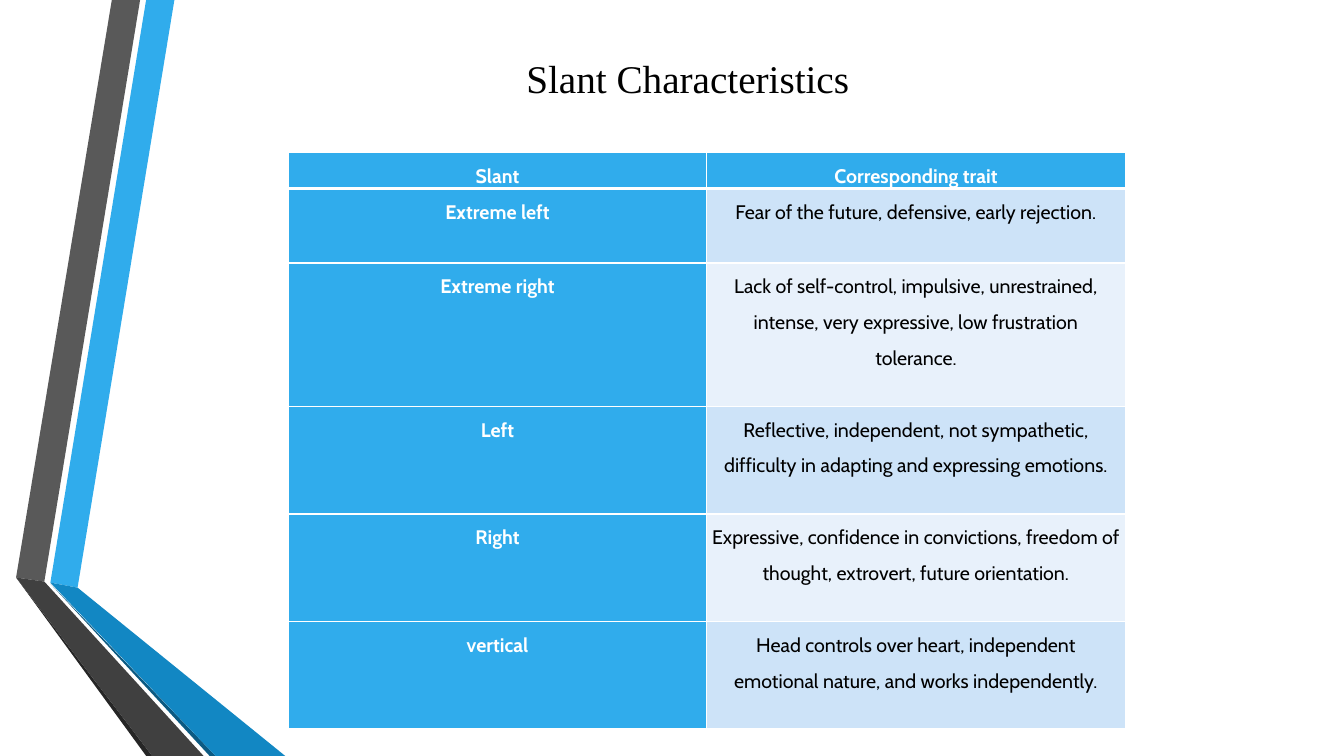
from dataclasses import dataclass

from lxml.etree import SubElement
from pptx import Presentation
from pptx.dml.color import RGBColor
from pptx.enum.text import MSO_ANCHOR, MSO_AUTO_SIZE, PP_ALIGN
from pptx.oxml.ns import qn
from pptx.util import Inches, Pt

# Content
TITLE = "Slant Characteristics"
HEADINGS = ("Slant", "Corresponding trait")
TRAITS = [
    ("Extreme left", "Fear of the future, defensive, early rejection."),
    ("Extreme right", "Lack of self-control, impulsive, unrestrained, intense, "
                      "very expressive, low frustration tolerance."),
    ("Left", "Reflective, independent, not sympathetic, difficulty in adapting "
             "and expressing emotions."),
    ("Right", "Expressive, confidence in convictions, freedom of thought, "
              "extrovert, future orientation."),
    ("vertical", "Head controls over heart, independent emotional nature, "
                 "and works independently."),
]


@dataclass(frozen=True)
class Theme:
    accent: str = "30ACEC"
    band_dark: str = "CDE3F8"
    band_light: str = "E8F1FB"
    white: str = "FFFFFF"
    black: str = "000000"
    title_font: str = "Times New Roman"
    table_font: str = "Cabin"
    title_size: int = 28
    table_size: int = 14


THEME = Theme()

# Layout, in inches
WIDTH, HEIGHT = 13.33, 7.5
TITLE_BOX = (5.12, 0.49, 3.51, 0.57)
TABLE_LEFT, TABLE_TOP = 2.86, 1.51
COLUMN = 4.15
ROWS = (0.36, 0.74, 1.42, 1.07, 1.07, 1.06)

# Folded ribbons on the left edge: colour and corners
RIBBONS = [
    (THEME.accent, [(0.5, 5.78), (0.77, 5.83), (1.73, 0), (1.45, 0)]),
    ("595959", [(1.39, 0), (1.11, 0), (0.16, 5.73), (0.44, 5.77)]),
    ("262626", [(0.16, 5.73), (1.45, HEIGHT), (1.51, HEIGHT)]),
    ("0C5A82", [(0.5, 5.79), (2.08, HEIGHT), (2.14, HEIGHT)]),
    ("1287C3", [(0.5, 5.78), (2.14, HEIGHT), (2.83, HEIGHT), (0.77, 5.83)]),
    ("404040", [(0.16, 5.73), (1.51, HEIGHT), (2.02, HEIGHT), (0.44, 5.77)]),
]


def write(frame, text, *, font, size, color, bold=False,
          align=PP_ALIGN.LEFT, spacing=1.0, after=0):
    paragraph = frame.paragraphs[0]
    paragraph.alignment = align
    paragraph.line_spacing = spacing
    paragraph.space_before, paragraph.space_after = Pt(0), Pt(after)
    run = paragraph.add_run()
    run.text = text
    run.font.name, run.font.size, run.font.bold = font, Pt(size), bold
    run.font.color.rgb = RGBColor.from_string(color)


def add_ribbon(slide, color, corners):
    start, *others = [(Inches(x), Inches(y)) for x, y in corners]
    outline = slide.shapes.build_freeform(*start)
    outline.add_line_segments(others, close=True)
    ribbon = outline.convert_to_shape()
    ribbon.shadow.inherit = False
    ribbon.fill.solid()
    ribbon.fill.fore_color.rgb = RGBColor.from_string(color)
    ribbon.line.fill.background()


def add_borders(cell, **widths):
    properties = cell._tc.get_or_add_tcPr()
    for side in "LRTB":
        line = SubElement(properties, qn(f"a:ln{side}"), w=str(Pt(widths.get(side, 1))))
        fill = SubElement(line, qn("a:solidFill"))
        SubElement(fill, qn("a:srgbClr"), val=THEME.white)


def add_trait_table(slide):
    records = [HEADINGS, *TRAITS]
    table = slide.shapes.add_table(
        len(records), len(HEADINGS), Inches(TABLE_LEFT), Inches(TABLE_TOP),
        Inches(COLUMN * len(HEADINGS)), Inches(sum(ROWS))).table
    table.horz_banding = False
    for column in table.columns:
        column.width = Inches(COLUMN)
    for r, record in enumerate(records):
        table.rows[r].height = Inches(ROWS[r])
        for c, text in enumerate(record):
            cell = table.cell(r, c)
            strong = r == 0 or c == 0
            band = THEME.band_dark if r % 2 else THEME.band_light
            # The rule under the headings is heavier
            add_borders(cell, T=3 if r == 1 else 1, B=3 if r == 0 else 1)
            cell.fill.solid()
            cell.fill.fore_color.rgb = RGBColor.from_string(THEME.accent if strong else band)
            cell.margin_left = cell.margin_right = Inches(0.05)
            cell.margin_top = cell.margin_bottom = 0
            cell.vertical_anchor = MSO_ANCHOR.TOP
            write(cell.text_frame, text, font=THEME.table_font, size=THEME.table_size,
                  color=THEME.white if strong else THEME.black, bold=strong,
                  align=PP_ALIGN.CENTER, spacing=1.5, after=10)


def main():
    deck = Presentation()
    deck.slide_width, deck.slide_height = Inches(WIDTH), Inches(HEIGHT)
    slide = deck.slides.add_slide(deck.slide_layouts[5])

    # Ribbons
    for color, corners in RIBBONS:
        add_ribbon(slide, color, corners)

    # Title
    title = slide.shapes.title
    title.left, title.top, title.width, title.height = map(Inches, TITLE_BOX)
    title.text_frame.vertical_anchor = MSO_ANCHOR.TOP
    title.text_frame.auto_size = MSO_AUTO_SIZE.NONE
    write(title.text_frame, TITLE, font=THEME.title_font,
          size=THEME.title_size, color=THEME.black)

    # Table
    add_trait_table(slide)
    deck.save("out.pptx")


if __name__ == "__main__":
    main()
